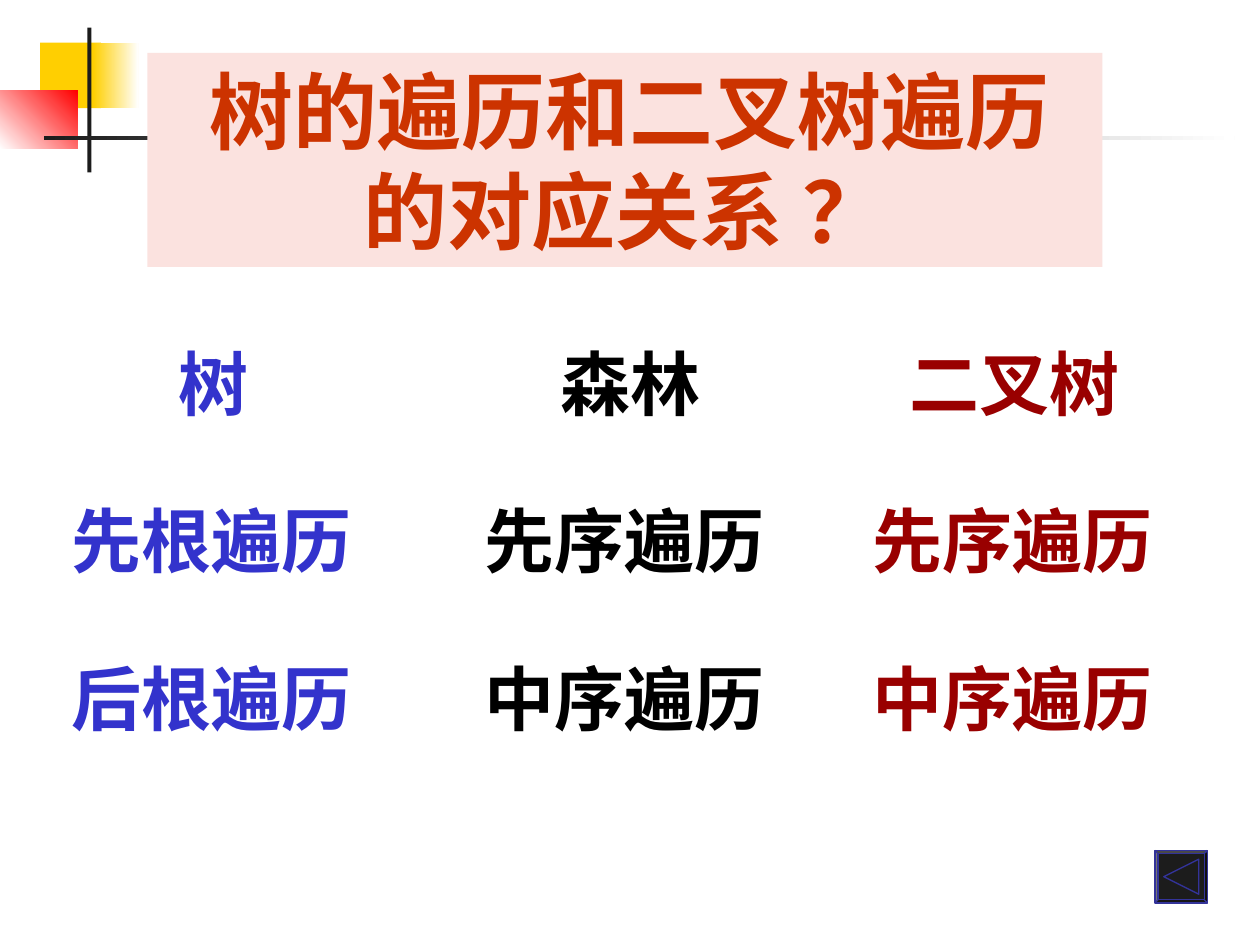
from dataclasses import dataclass

from pptx import Presentation
from pptx.dml.color import RGBColor
from pptx.enum.shapes import MSO_SHAPE
from pptx.enum.text import MSO_ANCHOR, MSO_AUTO_SIZE, PP_ALIGN
from pptx.util import Pt


@dataclass(frozen=True)
class Theme:
    font: str = "Times New Roman"
    yellow: str = "FFCF01"
    red: str = "FF0000"
    white: str = "FFFFFF"
    dark: str = "1C1C1C"
    title_fill: str = "FBE2DF"
    title_text: str = "CC3300"
    tree: str = "3333CC"
    forest: str = "000000"
    binary: str = "990000"
    button_line: str = "333399"
    title_size: int = 48
    lead_size: int = 24
    body_size: int = 40


T = Theme()


def rgb(value):
    return RGBColor.from_string(value)


def add_run(p, text, size, color):
    r = p.add_run()
    r.text = text
    r.font.name = T.font
    r.font.size = Pt(size)
    r.font.bold = True
    r.font.color.rgb = rgb(color)


def add_block(s, box, start, end=None, angle=0):
    """Add a borderless rectangle, plain or with a gradient from start to end."""
    sp = s.shapes.add_shape(MSO_SHAPE.RECTANGLE, *map(Pt, box))
    sp.shadow.inherit = False
    sp.line.fill.background()
    if end is None:
        sp.fill.solid()
        sp.fill.fore_color.rgb = rgb(start)
    else:
        sp.fill.gradient()
        sp.fill.gradient_angle = angle
        for stop, color in zip(sp.fill.gradient_stops, (start, end)):
            stop.color.rgb = rgb(color)


def add_corner_decoration(s, box):
    x, y, w, h = box
    add_block(s, (x + 23, y + 8.6, 34.6, 37.4), T.yellow)
    add_block(s, (x + 53.3, y + 8.6, 25.9, 37.4), T.yellow, T.white)
    add_block(s, (x, y + 36, 44.4, 33.1), T.white, T.red, 45)
    add_block(s, (x + 49.9, y, 2.4, h), T.dark)
    add_block(s, (x + 25.2, y + 61.9, w - 25.2, 2.5), T.dark, T.white)


def add_title(s, box):
    sp = s.shapes.title
    sp.left, sp.top, sp.width, sp.height = map(Pt, box)
    sp.fill.solid()
    sp.fill.fore_color.rgb = rgb(T.title_fill)
    tf = sp.text_frame
    tf.word_wrap = True
    tf.auto_size = MSO_AUTO_SIZE.NONE
    tf.vertical_anchor = MSO_ANCHOR.TOP
    p = tf.paragraphs[0]
    p.alignment = PP_ALIGN.CENTER
    add_run(p, " ", T.lead_size, T.title_text)
    add_run(p, "树的遍历和二叉树遍历的对应关系 ？", T.title_size, T.title_text)
    # The title sits in front of the decoration.
    sp.element.getparent().append(sp.element)


def add_column(s, box, color, header_offset, texts):
    """Stack a header and its traversals at equal steps down the box."""
    x, y, w, h = box
    step = h / len(texts)
    for i, text in enumerate(texts):
        indent = header_offset if i == 0 else 0
        sp = s.shapes.add_textbox(Pt(x + indent), Pt(y + i * step),
                                  Pt(w - indent), Pt(55.4))
        tf = sp.text_frame
        tf.word_wrap = True
        add_run(tf.paragraphs[0], text, T.body_size, color)


def add_back_button(s, box):
    x, y, w, h = box
    bevel = s.shapes.add_shape(MSO_SHAPE.BEVEL, *map(Pt, box))
    bevel.adjustments[0] = 0.06
    builder = s.shapes.build_freeform(Pt(x + w / 6), Pt(y + h / 2))
    builder.add_line_segments([(Pt(x + w * 5 / 6), Pt(y + h / 6)),
                               (Pt(x + w * 5 / 6), Pt(y + h * 5 / 6))])
    for sp in (bevel, builder.convert_to_shape()):
        sp.shadow.inherit = False
        sp.fill.solid()
        sp.fill.fore_color.rgb = rgb(T.dark)
        sp.line.color.rgb = rgb(T.button_line)
        sp.line.width = Pt(0.75)


def main():
    prs = Presentation()
    prs.slide_width, prs.slide_height = Pt(720), Pt(540)
    s = prs.slides.add_slide(prs.slide_layouts[5])
    add_corner_decoration(s, (0, 15.8, 705.6, 82.8))
    add_title(s, (84.2, 30.2, 545.8, 122.4))
    columns = [
        (33.8, 188, T.tree, 61.2, ("树", "先根遍历", "后根遍历")),
        (270, 176, T.forest, 43.2, ("森林", "先序遍历", "中序遍历")),
        (491.5, 192.5, T.binary, 21.1, ("二叉树", "先序遍历", "中序遍历")),
    ]
    for x, w, color, header_offset, texts in columns:
        add_column(s, (x, 190.8, w, 270), color, header_offset, texts)
    add_back_button(s, (660, 486, 30, 30))
    prs.save("out.pptx")


if __name__ == "__main__":
    main()
